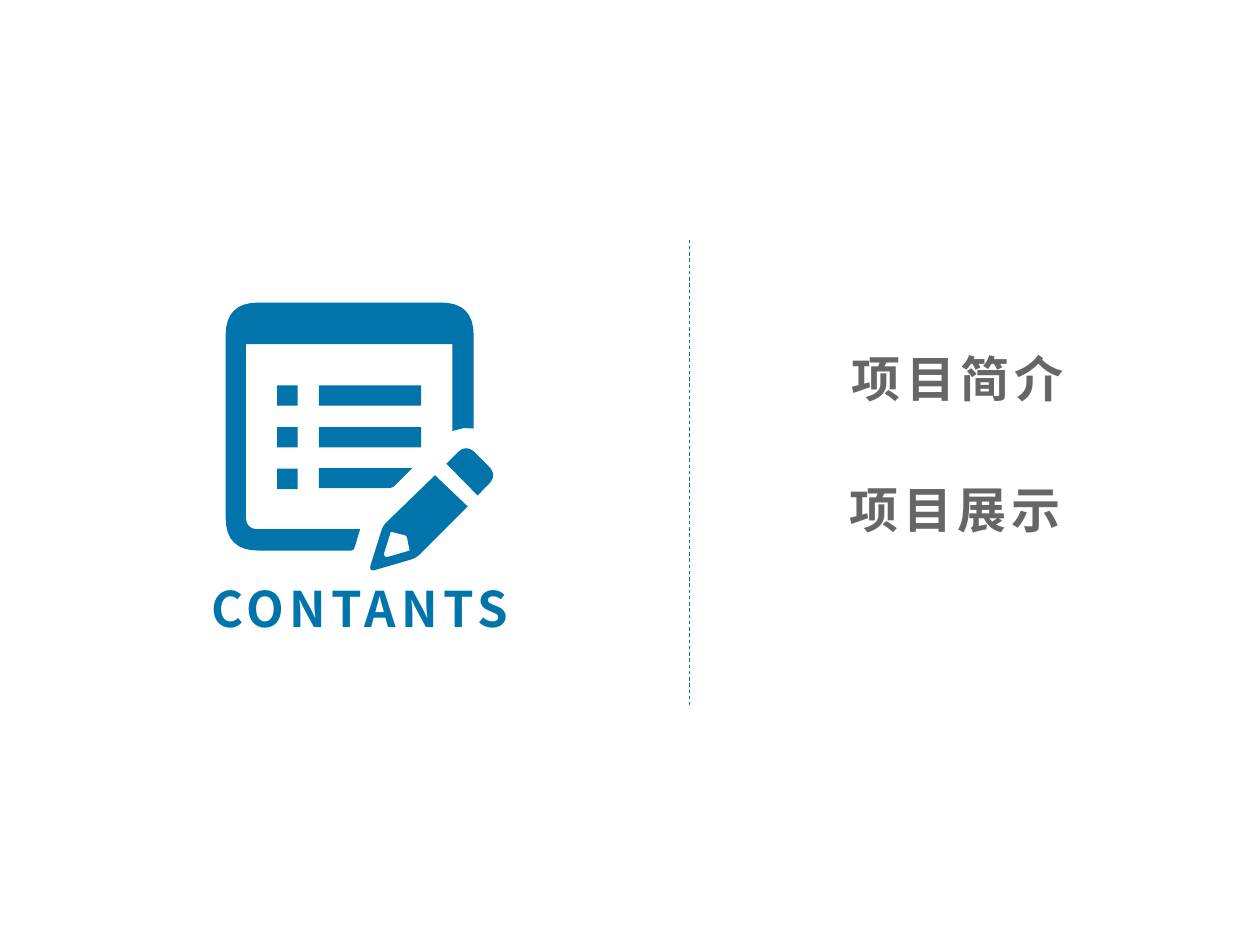
import math

import pptx
import pptx.dml.color
import pptx.enum.dml
import pptx.enum.shapes
import pptx.enum.text
import pptx.oxml
import pptx.oxml.ns
import pptx.util
from pptx.util import Cm

BLUE = "0174AB"
GRAY = "666666"
FONT = "Noto Sans CJK SC"


def color(value):
    """Turn a hex string into a colour."""
    return pptx.dml.color.RGBColor.from_string(value)


def write(holder, text, box, *, ink=BLUE, size=28, spacing=3, align="LEFT"):
    """Place a placeholder in its box and fill it with one formatted line."""
    holder.left, holder.top, holder.width, holder.height = map(Cm, box)
    frame = holder.text_frame
    frame.word_wrap = True
    frame.auto_size = pptx.enum.text.MSO_AUTO_SIZE.NONE
    frame.vertical_anchor = pptx.enum.text.MSO_ANCHOR.TOP
    para = frame.paragraphs[0]
    para.alignment = getattr(pptx.enum.text.PP_ALIGN, align)
    para.line_spacing = pptx.util.Pt(34.5)
    para.space_before = pptx.util.Pt(0)
    settings = para._p.get_or_add_pPr()
    settings.set("marL", "0")
    settings.set("indent", "0")
    pptx.oxml.ns.qn("a:buNone")
    settings.append(pptx.oxml.parse_xml(
        "<a:buNone %s/>" % pptx.oxml.ns.nsdecls("a")))
    span = para.add_run()
    span.text = text
    span.font.name = FONT
    span.font.size = pptx.util.Pt(size)
    span.font.bold = True
    span.font.color.rgb = color(ink)
    marks = span._r.get_or_add_rPr()
    marks.set("spc", str(spacing * 100))
    marks.append(pptx.oxml.parse_xml(
        '<a:ea %s typeface="%s"/>' % (pptx.oxml.ns.nsdecls("a"), FONT)))


def rounded(corners, steps=8):
    """Return outline points, rounding each corner given as (x, y, radius)."""
    points = []
    for index, (x, y, *radius) in enumerate(corners):
        if not radius:
            points.append((x, y))
            continue
        ends = []
        for other in (corners[index - 1], corners[(index + 1) % len(corners)]):
            share = radius[0] / math.dist((x, y), other[:2])
            ends.append((x + (other[0] - x) * share, y + (other[1] - y) * share))
        for step in range(steps + 1):
            t = step / steps
            points.append(tuple(
                (1 - t) ** 2 * a + 2 * t * (1 - t) * b + t ** 2 * c
                for a, b, c in zip(ends[0], (x, y), ends[1])))
    return points


def paint(shape):
    """Give a shape a plain blue fill."""
    shape.shadow.inherit = False
    shape.fill.solid()
    shape.fill.fore_color.rgb = color(BLUE)
    shape.line.fill.background()


def outline(group, left, top, *contours):
    """Draw a blue outline; any contour after the first is a hole."""
    builder = None
    for corners in contours:
        points = [(Cm(left + x), Cm(top + y)) for x, y in rounded(corners)]
        if builder is None:
            builder = group.shapes.build_freeform(*points[0])
        else:
            builder.move_to(*points[0])
        builder.add_line_segments(points[1:], close=True)
    paint(builder.convert_to_shape())


def draw_icon(page, left, top):
    """Draw the list sheet with its pencil."""
    icon = page.shapes.add_group_shape()
    sheet = [(0, 0, 0.66), (5, 0, 0.66), (5, 2.54), (4.8, 2.53), (4.57, 2.59),
             (4.57, 0.84), (0.41, 0.84), (0.41, 4.57, 0.25), (2.71, 4.57),
             (2.58, 5, 0.06), (0, 5, 0.66)]
    pencil = [(4.22, 3.48), (4.88, 4.11), (3.84, 5.15, 0.12),
              (2.88, 5.43, 0.15), (3.17, 4.5, 0.1)]
    lead = [(3.33, 4.62), (3.65, 4.7, 0.05), (3.71, 5.0), (3.16, 5.16, 0.15)]
    eraser = [(4.45, 3.25), (4.85, 2.85, 0.25), (5.48, 3.48, 0.25), (5.08, 3.89)]
    last_bar = [(1.88, 3.34), (3.76, 3.34), (3.36, 3.74, 0.08), (1.88, 3.74)]
    outline(icon, left, top, sheet)
    outline(icon, left, top, pencil, lead)
    outline(icon, left, top, eraser)
    outline(icon, left, top, last_bar)
    side, first, pitch = 0.41, 1.67, 0.84
    squares = [(1.04, row, side) for row in range(3)]
    bars = [(1.88, row, 2.06) for row in range(2)]
    for x, row, width in squares + bars:
        paint(icon.shapes.add_shape(
            pptx.enum.shapes.MSO_SHAPE.RECTANGLE, Cm(left + x),
            Cm(top + first + row * pitch), Cm(width), Cm(side)))


def draw_divider(page, x, top, bottom):
    """Draw the dashed vertical line between the two halves."""
    line = page.shapes.add_connector(
        pptx.enum.shapes.MSO_CONNECTOR.STRAIGHT, Cm(x), Cm(top), Cm(x), Cm(bottom))
    line.line.color.rgb = color(BLUE)
    line.line.width = pptx.util.Pt(0.5)
    line.line.dash_style = pptx.enum.dml.MSO_LINE.DASH
    line._element.spPr.append(pptx.oxml.parse_xml(
        "<a:effectLst %s/>" % pptx.oxml.ns.nsdecls("a")))


def contents_page(deck):
    """Build the contents page: icon and title left, topics right."""
    page = deck.slides.add_slide(deck.slide_layouts.get_by_name("Two Content"))
    title, first, second = page.placeholders
    draw_divider(page, 13.89, 4.83, 14.22)
    write(first, "项目简介", (16.92, 6.86, 4.98, 1.45), ink=GRAY)
    write(second, "项目展示", (16.87, 9.5, 4.98, 1.45), ink=GRAY)
    draw_icon(page, 4.55, 6.1)
    write(title, "CONTANTS", (3.56, 11.51, 7.39, 1.45), align="CENTER")


deck = pptx.Presentation()
deck.slide_width, deck.slide_height = Cm(25.4), Cm(19.05)
contents_page(deck)
deck.save("out.pptx")
